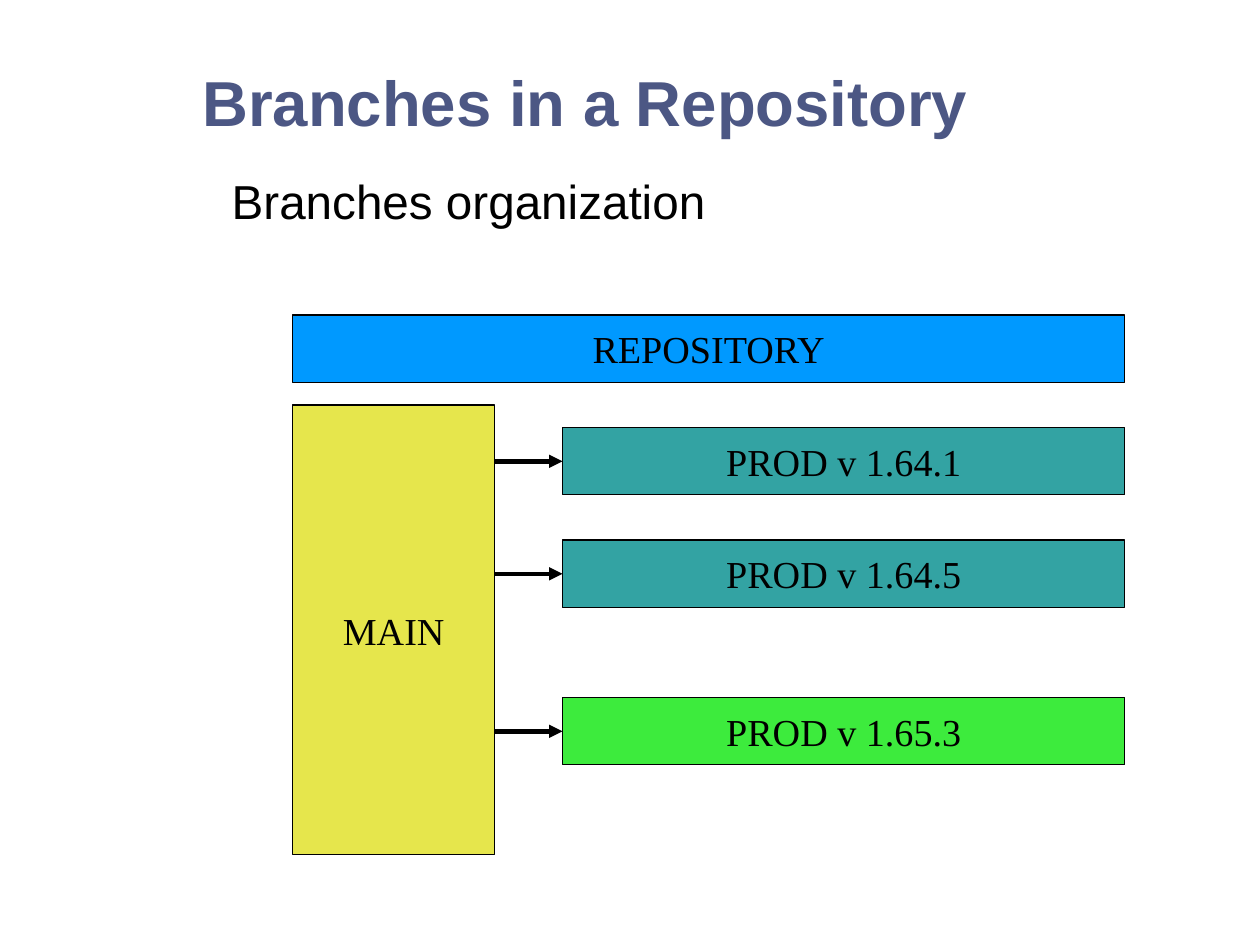
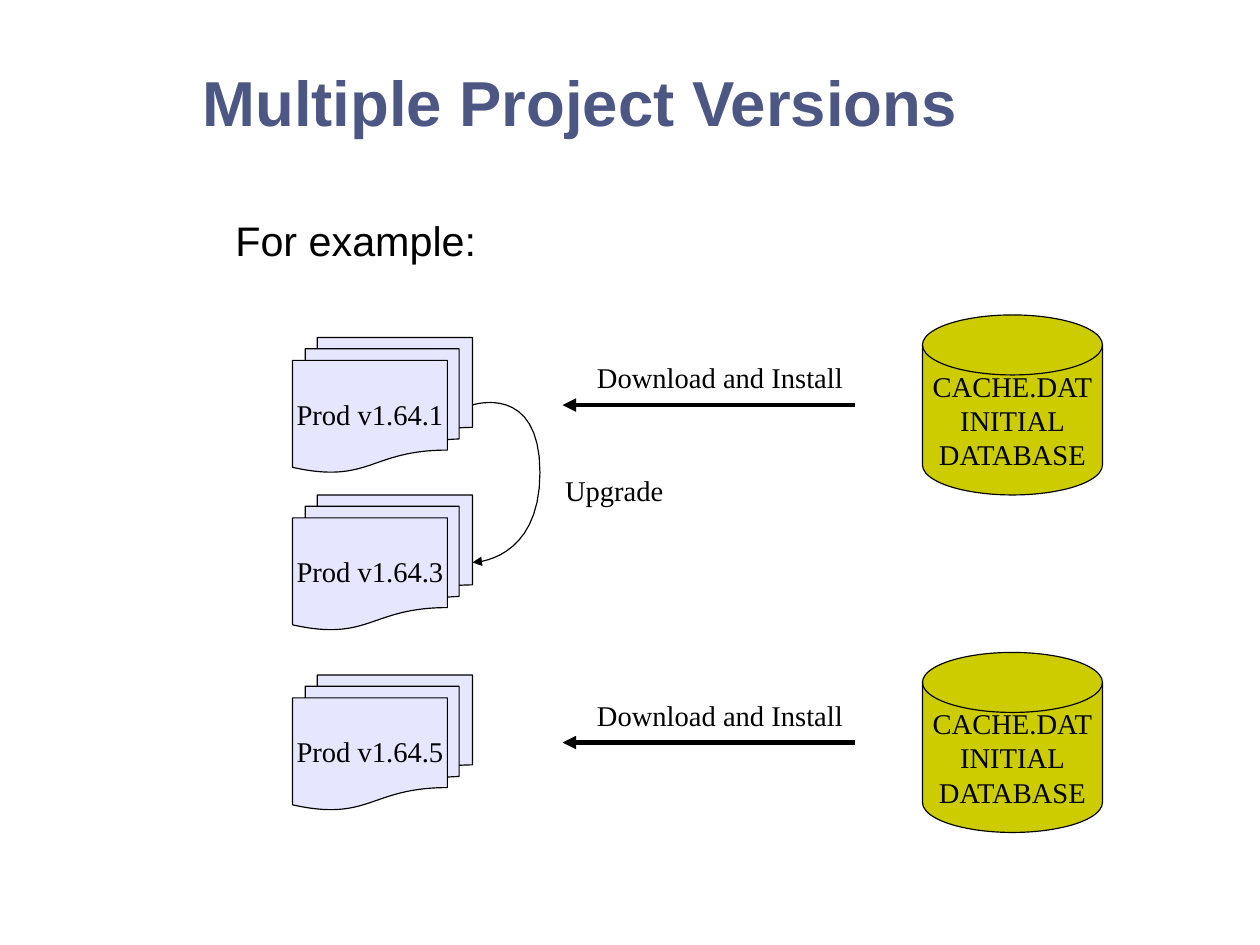
"""Builds two slides on repository branches and project versions."""
from lxml.etree import SubElement
from pptx import Presentation
from pptx.dml.color import RGBColor
from pptx.enum.shapes import MSO_CONNECTOR, MSO_SHAPE
from pptx.enum.text import MSO_ANCHOR, PP_ALIGN
from pptx.oxml.ns import qn
from pptx.util import Cm, Pt


def colour(value):
    return RGBColor.from_string(value)


def bezier(points, steps=16):
    a, b, c, d = points
    for step in range(1, steps + 1):
        t = step / steps
        u = 1 - t
        yield tuple(Cm(u**3 * p + 3 * u * u * t * q + 3 * u * t * t * r + t**3 * s)
                    for p, q, r, s in zip(a, b, c, d))


class SlideBuilder:
    INK = "000000"
    TITLE = dict(name="Arial", size=Pt(40), bold=True)
    TITLE_COLOUR = "4C5784"
    TITLE_MIDDLE = 2.25
    ARROW_WIDTH = 2.83

    def __init__(self):
        self.deck = Presentation()
        self.deck.slide_width, self.deck.slide_height = Cm(28), Cm(21)
        self.page = None

    def add_page(self, title, title_height):
        self.page = self.deck.slides.add_slide(self.deck.slide_layouts[6])
        top = self.TITLE_MIDDLE - title_height / 2
        self.text(title, (4.5, top, 23.45, title_height), self.TITLE, self.TITLE_COLOUR,
                  anchor=MSO_ANCHOR.MIDDLE, indent=(0.6, -1))

    def fill_text(self, shape, text, font, ink, align, anchor, wrap, indent=None):
        frame = shape.text_frame
        settings = dict(margin_left=0, margin_right=0, margin_top=0, margin_bottom=0,
                        vertical_anchor=anchor, word_wrap=wrap)
        for name, value in settings.items():
            setattr(frame, name, value)
        for index, line in enumerate(text.split("\n")):
            para = frame.add_paragraph() if index else frame.paragraphs[0]
            para.alignment = align
            if indent:
                properties = para._p.get_or_add_pPr()
                for name, length in zip(("marL", "indent"), indent):
                    properties.set(name, str(Cm(length)))
            span = para.add_run()
            span.text = line
            for name, value in font.items():
                setattr(span.font, name, value)
            span.font.color.rgb = colour(ink)

    def text(self, text, place, font, ink=INK, align=PP_ALIGN.LEFT,
             anchor=MSO_ANCHOR.TOP, indent=None):
        box = self.page.shapes.add_textbox(*map(Cm, place))
        self.fill_text(box, text, font, ink, align, anchor, True, indent)

    def subtitle(self, text, place, size):
        self.text(text, place, dict(name="Arial", size=Pt(size)), indent=(1.2, -1.05))

    def label(self, text, place):
        self.text(text, place, dict(name="Times New Roman", size=Pt(18)),
                  align=PP_ALIGN.CENTER)

    def shape(self, kind, text, place, fill, size):
        shape = self.page.shapes.add_shape(kind, *map(Cm, place))
        shape.shadow.inherit = False
        shape.fill.solid()
        shape.fill.fore_color.rgb = colour(fill)
        self.outline(shape, 0)
        self.fill_text(shape, text, dict(name="Times New Roman", size=Pt(size)), self.INK,
                       PP_ALIGN.CENTER, MSO_ANCHOR.MIDDLE, False)
        return shape

    def outline(self, shape, width, arrow=False):
        shape.line.color.rgb = colour(self.INK)
        shape.line.width = Pt(width)
        if arrow:
            line = shape._element.spPr.get_or_add_ln()
            SubElement(line, qn("a:tailEnd"), type="triangle")

    def arrow(self, start, end, target=None):
        line = self.page.shapes.add_connector(MSO_CONNECTOR.STRAIGHT, *map(Cm, start + end))
        if target is not None:
            line.end_connect(target, 1)
        self.outline(line, self.ARROW_WIDTH, arrow=True)
        SubElement(line._element.spPr, qn("a:effectLst"))

    def curved_arrow(self, start, *curves):
        builder = self.page.shapes.build_freeform(*map(Cm, start))
        for controls in curves:
            builder.add_line_segments(list(bezier((start, *controls))), close=False)
            start = controls[-1]
        curve = builder.convert_to_shape()
        curve.shadow.inherit = False
        curve.fill.background()
        self.outline(curve, 0, arrow=True)


def add_branches(slides):
    slides.add_page("Branches in a Repository", 2.5)
    slides.subtitle("Branches organization", (5, 3.83, 22.5, 2), 30)
    slides.shape(MSO_SHAPE.RECTANGLE, "REPOSITORY", (6.5, 7, 18.5, 1.5), "0099FF", 24)
    slides.shape(MSO_SHAPE.RECTANGLE, "MAIN", (6.5, 9, 4.5, 10), "E6E64C", 24)
    height = 1.5
    for version, top, fill in (("1.64.1", 9.5, "33A3A3"), ("1.64.5", 12, "33A3A3"),
                               ("1.65.3", 15.5, "3DEB3D")):
        branch = slides.shape(MSO_SHAPE.RECTANGLE, f"PROD v {version}",
                              (12.5, top, 12.5, height), fill, 24)
        middle = top + height / 2
        slides.arrow((11, middle), (12.5, middle), branch)


def add_versions(slides):
    slides.add_page("Multiple Project Versions", 3.5)
    slides.subtitle("For example:", (5.08, 4.78, 8.92, 1.22), 26)
    for version, top in (("1.64.1", 7.5), ("1.64.3", 11), ("1.64.5", 15)):
        slides.shape(MSO_SHAPE.FLOWCHART_MULTIDOCUMENT, f"Prod v{version}",
                     (6.5, top, 4, 3), "E6E6FF", 18)
    for top in (7, 14.5):
        slides.shape(MSO_SHAPE.FLOWCHART_MAGNETIC_DISK, "CACHE.DAT\nINITIAL\nDATABASE",
                     (20.5, top, 4, 4), "CCCC00", 18)
        slides.arrow((19, top + 2), (12.5, top + 2))
        slides.label("Download and Install", (13, top + 1, 6, 1.73))
    slides.curved_arrow((10.5, 9), ((10.5, 9), (12, 8.5), (12, 10.5)),
                        ((12, 12.5), (10.5, 12.5), (10.5, 12.5)))
    slides.label("Upgrade", (12.3, 10.5, 2.7, 0.86))


def main():
    slides = SlideBuilder()
    add_branches(slides)
    add_versions(slides)
    slides.deck.save("out.pptx")


if __name__ == "__main__":
    main()
